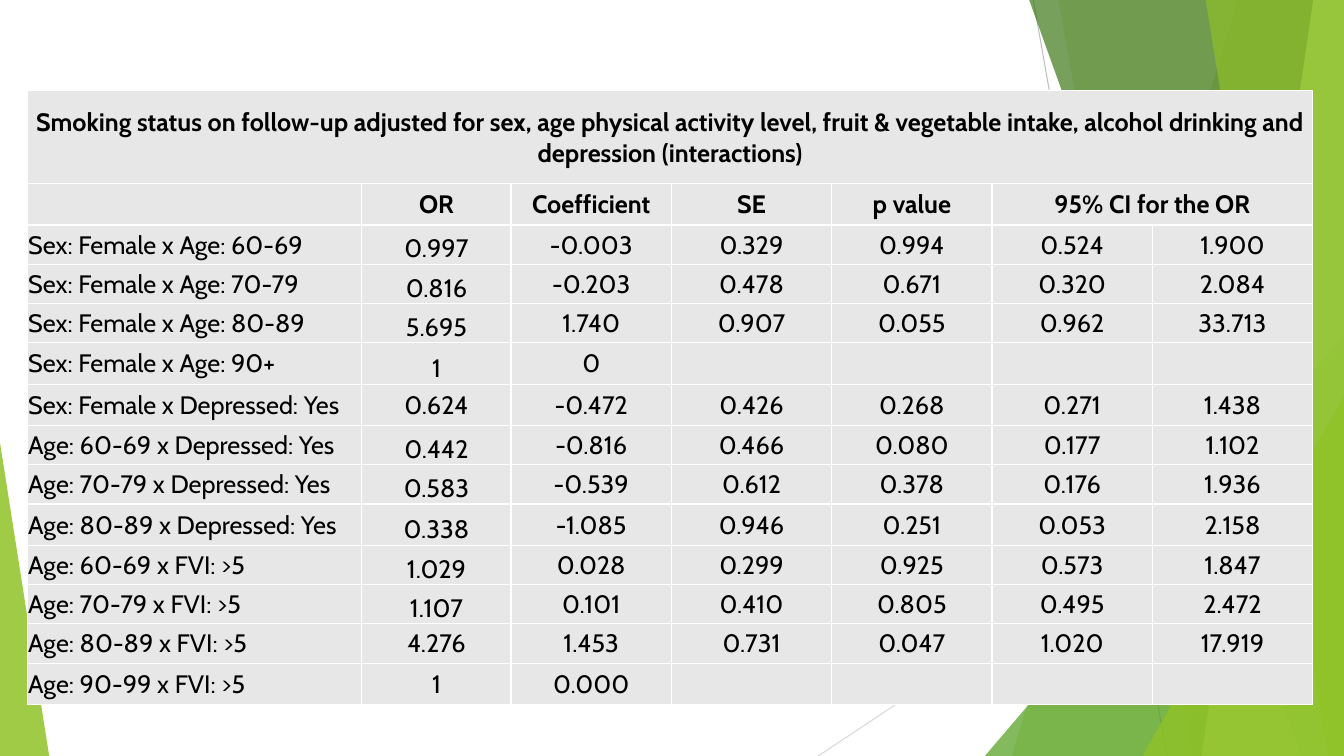
from lxml.etree import SubElement
from pptx import Presentation
from pptx.dml.color import RGBColor
from pptx.enum.shapes import MSO_CONNECTOR, MSO_SHAPE
from pptx.enum.text import MSO_ANCHOR, PP_ALIGN
from pptx.oxml.ns import qn
from pptx.util import Cm, Pt

COLORS = {
    "lime": "90C226",
    "green": "54A021",
    "forest": "3F7819",
    "pale": "C0E474",
    "gray": "BFBFBF",
    "silver": "D9D9D9",
    "cell": "E7E7E7",
    "white": "FFFFFF",
    "black": "000000",
}
WIDTH, HEIGHT = 33.87, 19.05
TOP = -0.02
FONT = "Cabin"
TITLE = (
    "Smoking status on follow-up adjusted for sex, age physical activity level, "
    "fruit & vegetable intake, alcohol drinking and depression (interactions)"
)
HEADS = ["", "OR", "Coefficient", "SE", "p value", "95% CI for the OR"]
DATA = [
    ("Sex: Female x Age: 60-69", "0.997 -0.003 0.329 0.994 0.524 1.900"),
    ("Sex: Female x Age: 70-79", "0.816 -0.203 0.478 0.671 0.320 2.084"),
    ("Sex: Female x Age: 80-89", "5.695 1.740 0.907 0.055 0.962 33.713"),
    ("Sex: Female x Age: 90+", "1 0"),
    ("Sex: Female x Depressed: Yes", "0.624 -0.472 0.426 0.268 0.271 1.438"),
    ("Age: 60-69 x Depressed: Yes", "0.442 -0.816 0.466 0.080 0.177 1.102"),
    ("Age: 70-79 x Depressed: Yes", "0.583 -0.539 0.612 0.378 0.176 1.936"),
    ("Age: 80-89 x Depressed: Yes", "0.338 -1.085 0.946 0.251 0.053 2.158"),
    ("Age: 60-69 x FVI: >5", "1.029 0.028 0.299 0.925 0.573 1.847"),
    ("Age: 70-79 x FVI: >5", "1.107 0.101 0.410 0.805 0.495 2.472"),
    ("Age: 80-89 x FVI: >5", "4.276 1.453 0.731 0.047 1.020 17.919"),
    ("Age: 90-99 x FVI: >5", "1 0.000"),
]
COLS = [8.43, 3.76] + [4.04] * 5
TALL_ROWS = {1, 5, 6, 9, 13}
LOW_ROWS = {2, 3, 4, 5, 7, 8, 9, 10, 11}


def rgb(name):
    return RGBColor.from_string(COLORS[name])


def add_line(slide, start, end, color):
    ends = [Cm(value) for value in (*start, *end)]
    line = slide.shapes.add_connector(MSO_CONNECTOR.STRAIGHT, *ends)
    line.line.color.rgb = rgb(color)
    line.line.width = Pt(0.75)
    SubElement(line.element.spPr, qn("a:effectLst"))


def tint(shape, color, alpha):
    shape.shadow.inherit = False
    shape.fill.solid()
    shape.fill.fore_color.rgb = rgb(color)
    shape.line.fill.background()
    tone = shape.element.spPr.find(qn("a:solidFill"))[0]
    SubElement(tone, qn("a:alpha"), val=str(alpha * 1000))


def add_band(slide, top_x, base_x, color, alpha):
    outline = slide.shapes.build_freeform(Cm(top_x), Cm(TOP))
    points = [(WIDTH, TOP), (WIDTH, HEIGHT), (base_x, HEIGHT)]
    outline.add_line_segments([(Cm(x), Cm(y)) for x, y in points], close=True)
    tint(outline.convert_to_shape(), color, alpha)


def add_wedge(slide, left, top, width, tip, color, alpha):
    box = [Cm(value) for value in (left, top, width, HEIGHT - top)]
    wedge = slide.shapes.add_shape(MSO_SHAPE.ISOSCELES_TRIANGLE, *box)
    wedge.adjustments[0] = tip
    tint(wedge, color, alpha)


def style_cell(cell):
    cell.margin_left = cell.margin_right = cell.margin_top = Cm(0.02)
    cell.margin_bottom = 0
    props = cell._tc.get_or_add_tcPr()
    for side in ("lnL", "lnR", "lnT", "lnB"):
        edge = SubElement(props, qn(f"a:{side}"), w=str(Pt(1)))
        fill = SubElement(edge, qn("a:solidFill"))
        SubElement(fill, qn("a:srgbClr"), val=COLORS["white"])
    cell.fill.solid()
    cell.fill.fore_color.rgb = rgb("cell")


def write_cell(cell, text, bold=False, align=PP_ALIGN.CENTER, anchor=MSO_ANCHOR.MIDDLE):
    cell.text = text
    cell.vertical_anchor = anchor
    para = cell.text_frame.paragraphs[0]
    para.alignment = align
    para.font.name = FONT
    para.font.size = Pt(18)
    para.font.bold = bold
    para.font.color.rgb = rgb("black")


def add_grid(slide):
    heights = [2.34] + [1.04 if row in TALL_ROWS else 0.99 for row in range(1, len(DATA) + 2)]
    frame = slide.shapes.add_table(
        len(heights), len(COLS), Cm(0.69), Cm(2.29), Cm(sum(COLS)), Cm(sum(heights))
    )
    table = frame.table
    table.horz_banding = False
    for col, width in zip(table.columns, COLS):
        col.width = Cm(width)
    for row, height in zip(table.rows, heights):
        row.height = Cm(height)
    for cell in table.iter_cells():
        style_cell(cell)

    table.cell(0, 0).merge(table.cell(0, 6))
    table.cell(1, 5).merge(table.cell(1, 6))
    write_cell(table.cell(0, 0), TITLE, bold=True)
    for col, head in enumerate(HEADS):
        write_cell(table.cell(1, col), head, bold=True)
    for row, (label, values) in enumerate(DATA, 2):
        write_cell(table.cell(row, 0), label, align=PP_ALIGN.LEFT)
        for col, value in enumerate(values.split(), 1):
            low = col == 1 and row in LOW_ROWS
            anchor = MSO_ANCHOR.BOTTOM if low else MSO_ANCHOR.MIDDLE
            write_cell(table.cell(row, col), value, anchor=anchor)


def main():
    deck = Presentation()
    deck.slide_width, deck.slide_height = Cm(WIDTH), Cm(HEIGHT)
    slide = deck.slides.add_slide(deck.slide_layouts[6])
    add_line(slide, (26.04, 0), (29.41, HEIGHT), "gray")
    add_line(slide, (WIDTH, 10.24), (20.62, HEIGHT), "silver")
    add_band(slide, 31.19, 25.5, "lime", 30)
    add_band(slide, 26.67, 30.05, "lime", 20)
    add_wedge(slide, 24.82, 8.46, 9.05, 1, "green", 72)
    add_band(slide, 25.93, 32.79, "forest", 70)
    add_band(slide, 33.1, 30.28, "pale", 70)
    add_band(slide, 30.38, 33.48, "lime", 65)
    add_wedge(slide, 28.8, 9.98, 5.07, 1, "lime", 80)
    add_wedge(slide, 0, 11.15, 1.24, 0, "lime", 85)
    add_grid(slide)
    deck.save("out.pptx")


if __name__ == "__main__":
    main()
